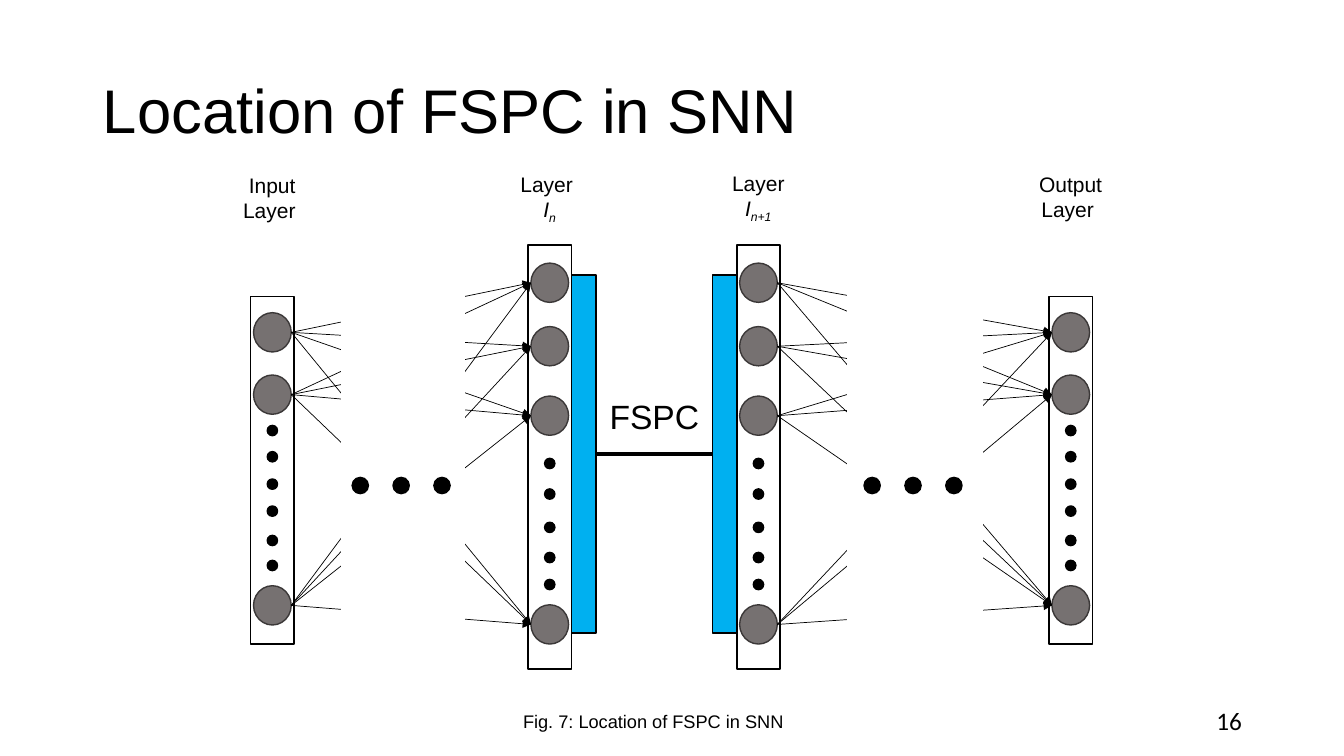
from lxml import etree
from pptx import Presentation
from pptx.dml.color import RGBColor
from pptx.enum.shapes import MSO_CONNECTOR, MSO_SHAPE
from pptx.enum.text import MSO_ANCHOR, PP_ALIGN
from pptx.oxml.ns import qn
from pptx.util import Cm, Pt

RECT, OVAL = MSO_SHAPE.RECTANGLE, MSO_SHAPE.OVAL
LINE = MSO_CONNECTOR.STRAIGHT
LEFT, MID, RIGHT = PP_ALIGN.LEFT, PP_ALIGN.CENTER, PP_ALIGN.RIGHT
INK = {"black": "000000", "white": "FFFFFF", "gray": "767171",
       "rim": "3B3838", "blue": "00B0F0"}

# Sizes in cm
NODE_W, NODE_H, DOT, BIG = 0.95, 0.99, 0.26, 0.41
STEP = 1.03
# Offsets of nodes and dots from the top of a layer
OUTER = ([0.41, 1.98, 7.29], [3.25, 3.91, 4.6, 5.28, 6.02, 6.65])
INNER = ([0.46, 2.06, 3.81, 9.07], [5.38, 6.15, 6.99, 7.75, 8.43])


def color(name):
    return RGBColor.from_string(INK[name])


def style(para, size, align=MID, face="Arial"):
    para.alignment = align
    para.font.size = Pt(size)
    para.font.name = face
    para.font.color.rgb = color("black")


def shape(slide, kind, box, fill=None, edge="black"):
    item = slide.shapes.add_shape(kind, *map(Cm, box))
    item.shadow.inherit = False
    if fill:
        item.fill.solid()
        item.fill.fore_color.rgb = color(fill)
    else:
        item.fill.background()
    item.line.color.rgb = color(edge)
    item.line.width = Pt(1)
    return item


def line(slide, start, end, width, arrow=False):
    item = slide.shapes.add_connector(LINE, *start, *end)
    item.line.color.rgb = color("black")
    item.line.width = Pt(width)
    props = item._element.spPr
    if arrow:
        tail = etree.SubElement(props.find(qn("a:ln")), qn("a:tailEnd"))
        tail.set("type", "triangle")
    etree.SubElement(props, qn("a:effectLst"))
    return item


def text(slide, box, words, size, align=MID, face="Arial", wrap=False):
    frame = slide.shapes.add_textbox(*map(Cm, box)).text_frame
    frame.word_wrap = wrap
    frame.text = words
    style(frame.paragraphs[0], size, align, face)
    return frame


def title(slide, box, words):
    item = slide.shapes.title
    item.left, item.top, item.width, item.height = map(Cm, box)
    frame = item.text_frame
    frame.text = words
    frame.vertical_anchor = MSO_ANCHOR.MIDDLE
    style(frame.paragraphs[0], 44, LEFT)
    frame.paragraphs[0].line_spacing = 0.9


def layer(slide, box, parts):
    """Draw a column of neurons and return them."""
    x, y, w, _ = box
    shape(slide, RECT, box)
    nodes = [shape(slide, OVAL, (x + (w - NODE_W) / 2, y + dy, NODE_W, NODE_H),
                   "gray", "rim") for dy in parts[0]]
    for dy in parts[1]:
        shape(slide, OVAL, (x + (w - DOT) / 2, y + dy, DOT, DOT), "black")
    return nodes


def links(slide, sources, targets):
    for a in sources:
        for b in targets:
            line(slide, (a.left + a.width, a.top + a.height // 2),
                 (b.left, b.top + b.height // 2), 0.5, True)


def gap(slide, box, y):
    """Hide the middle of the links behind three large dots."""
    x, _, w, _ = box
    shape(slide, RECT, box, "white", "white")
    first = x + (w - 2 * STEP - BIG) / 2 - 0.05
    for i in range(3):
        shape(slide, OVAL, (first + i * STEP, y, BIG, BIG), "black")


def label(slide, box, top, words, sub=""):
    x, _, w, _ = box
    frame = text(slide, (x + w / 2 - 1.21, top, 2.41, 1.55), words[0], 15,
                 wrap=True)
    para = frame.paragraphs[0]
    # The longer index wraps within its own paragraph
    if len(sub) < 2:
        para = frame.add_paragraph()
        style(para, 15)
    run = para.add_run()
    run.text = words[1]
    if sub:
        run.font.italic = True
        low = para.add_run()
        low.text = sub
        low.font.italic = True
        low._r.get_or_add_rPr().set("baseline", "-25000")


def bridge(slide, box):
    """Draw the two blue blocks, joined by a labelled line."""
    x, y, w, h = box
    bar = 0.62
    start = shape(slide, RECT, (x, y, bar, h), "blue")
    end = shape(slide, RECT, (x + w - bar, y, bar, h), "blue")
    join = line(slide, (0, 0), (0, 0), 3)
    join.begin_connect(start, 3)
    join.end_connect(end, 1)
    text(slide, (x + w / 2 - 1.39, y + 2.93, 2.79, 1.27), "FSPC", 24)


def network(slide, box):
    x, y, w, h = box
    wide, short, drop = 1.09, 8.76, 1.3
    boxes = [(x, y + drop, wide, short), (x + 6.99, y, wide, h),
             (x + 12.25, y, wide, h), (x + w - wide, y + drop, wide, short)]
    # Layers and links
    first, left, right, last = [
        layer(slide, b, p) for b, p in zip(boxes, (OUTER, INNER, INNER, OUTER))]
    links(slide, first, left)
    links(slide, right, last)
    gap(slide, (x + 2.29, y + 0.15, 3.1, 10.31), y + 5.86)
    gap(slide, (x + 15.04, y + 0.76, 3.4, 10.31), y + 5.86)
    # Labels above the layers
    names = [(-1.95, ("Input", "Layer "), ""), (-1.98, ("Layer ", "I"), "n"),
             (-2.0, ("Layer ", "I"), "n+1"), (-1.98, ("Output", "Layer "), "")]
    for b, (up, words, sub) in zip(boxes, names):
        label(slide, b, y + up, words, sub)
    # FSPC between the inner layers
    start = boxes[1][0] + wide
    bridge(slide, (start, y + 0.76, boxes[2][0] - start, 9.02))


def footer(slide, box):
    x, y, w, h = box
    text(slide, (x, y + 0.13, 7.16, 0.81), "Fig. 7: Location of FSPC in SNN", 13)
    page = text(slide, (x + w - 7.62, y, 7.62, h), "16", 18, RIGHT, "Calibri",
                True)
    page.vertical_anchor = MSO_ANCHOR.MIDDLE


def main():
    deck = Presentation()
    deck.slide_width, deck.slide_height = Cm(33.87), Cm(19.05)
    slide = deck.slides.add_slide(deck.slide_layouts[5])
    title(slide, (2.34, 1.02, 29.21, 3.68), "Location of FSPC in SNN")
    network(slide, (6.32, 6.17, 21.21, 10.69))
    footer(slide, (12.88, 17.65, 18.67, 1.02))
    deck.save("out.pptx")


if __name__ == "__main__":
    main()
